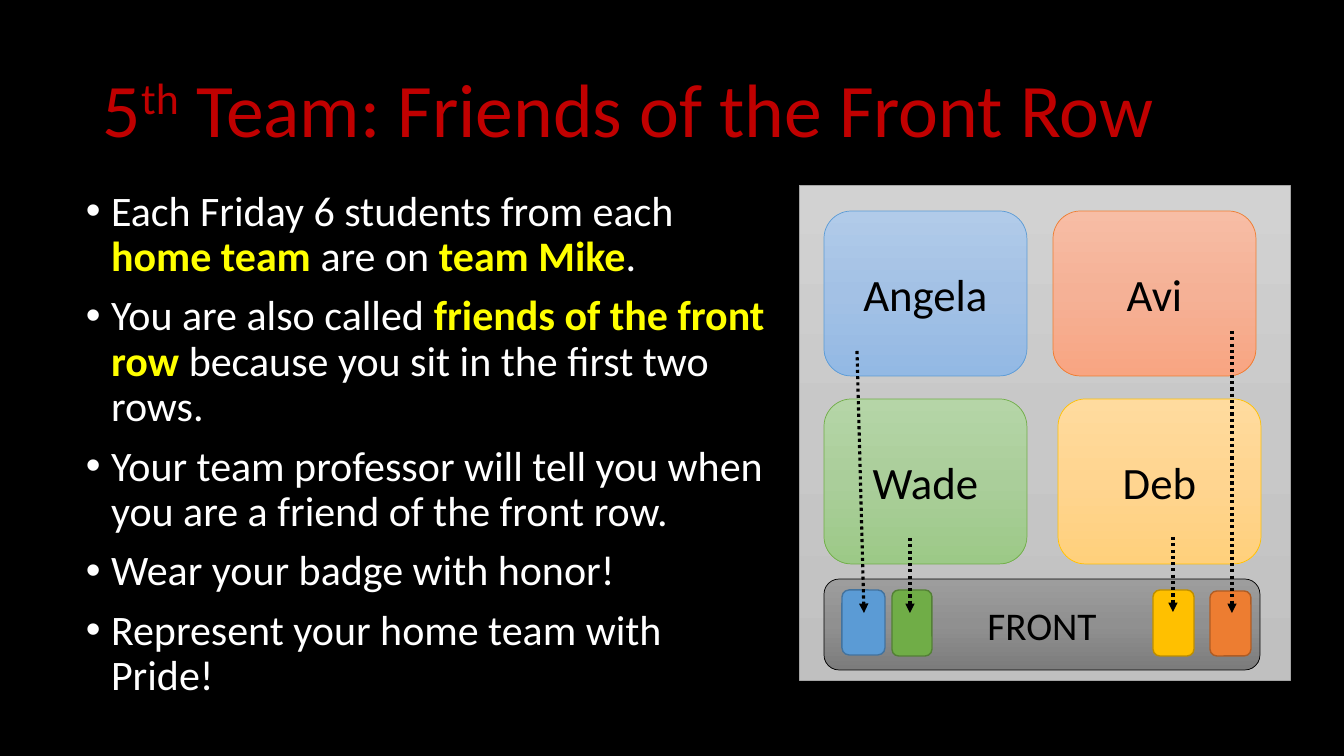
from copy import deepcopy
from lxml.etree import SubElement
from pptx import Presentation
from pptx.dml.color import RGBColor
from pptx.enum.dml import MSO_LINE
from pptx.enum.shapes import MSO_CONNECTOR, MSO_SHAPE
from pptx.enum.text import MSO_ANCHOR, PP_ALIGN
from pptx.oxml.ns import qn
from pptx.util import Pt

PX = 914400 / 100.8


def emu(*pixels):
    return [round(p * PX) for p in pixels]


def color(hex_string):
    return RGBColor.from_string(hex_string)


def write(holder, *paragraphs, size, ink="000000", align=PP_ALIGN.CENTER, anchor=MSO_ANCHOR.MIDDLE,
          spacing=1.0, bullets=False, marked_ink=None, superscript=False):
    frame = holder.text_frame
    frame.word_wrap = True
    frame.vertical_anchor = anchor
    for index, content in enumerate(paragraphs):
        paragraph = frame.add_paragraph() if index else frame.paragraphs[0]
        paragraph.alignment = align
        paragraph.line_spacing = spacing
        if bullets:
            paragraph.space_before = Pt(10)
            properties = paragraph._p.get_or_add_pPr()
            properties.set("marL", "228600")
            properties.set("indent", "-228600")
            SubElement(properties, qn("a:buFont")).set("typeface", "Arial")
            SubElement(properties, qn("a:buChar")).set("char", "•")
        for part, words in enumerate(content.split("|")):
            run = paragraph.add_run()
            run.text = words
            run.font.name = "Calibri"
            run.font.size = Pt(size)
            marked = part % 2 == 1
            run.font.bold = bool(marked and marked_ink)
            run.font.color.rgb = color(marked_ink if marked and marked_ink else ink)
            if marked and superscript:
                run._r.get_or_add_rPr().set("baseline", "30000")


prs = Presentation()
prs.slide_width, prs.slide_height = emu(1344, 756)
slide = prs.slides.add_slide(prs.slide_layouts[6])
slide.background.fill.solid()
slide.background.fill.fore_color.rgb = color("000000")

title = slide.shapes.add_textbox(*emu(93, 40, 1159, 146))
write(title, "5|th| Team: Friends of the Front Row", size=54, ink="C00000",
      align=PP_ALIGN.LEFT, spacing=0.9, superscript=True)

duties = slide.shapes.add_textbox(*emu(76, 185, 699, 507))
write(duties,
      "Each Friday 6 students from each |home team |are on |team Mike|. ",
      "You are also called |friends of the front row |because you sit in the first two rows.",
      "Your team professor will tell you when you are a friend of the front row. ",
      "Wear your badge with honor!",
      "Represent your home team with Pride!",
      size=30, ink="FFFFFF", align=PP_ALIGN.LEFT, anchor=MSO_ANCHOR.TOP,
      spacing=0.9, bullets=True, marked_ink="FFFF00")

RECT, ROUNDED = MSO_SHAPE.RECTANGLE, MSO_SHAPE.ROUNDED_RECTANGLE
room = [
    (RECT, (799, 185, 491, 495), ["D2D2D2", "C8C8C8", "C0C0C0"], "A5A5A5", "", 32),
    (ROUNDED, (824, 211, 203, 165), ["B1CBE9", "A3C1E5", "93B9E4"], "5B9BD5", "Angela", 32),
    (ROUNDED, (1053, 211, 203, 165), ["F7BDA5", "F5B196", "F8A582"], "ED7D31", "Avi", 32),
    (ROUNDED, (824, 399, 203, 165), ["B5D5A7", "AACE9A", "9CC987"], "70AD47", "Wade", 32),
    (ROUNDED, (1058, 399, 203, 165), ["FFDB9E", "FFD590", "FFD07C"], "FFC000", "Deb", 32),
    (ROUNDED, (824, 579, 436, 91), ["9D9D9D", "909090", "7C7C7C"], "000000", "FRONT", 28),
    (ROUNDED, (842, 590, 43, 65), ["5B9BD5"], "43739E", "", 32),
    (ROUNDED, (1210, 591, 41, 65), ["ED7D31"], "AF5C24", "", 32),
    (ROUNDED, (892, 590, 40, 66), ["70AD47"], "538035", "", 32),
    (ROUNDED, (1153, 590, 41, 66), ["FFC000"], "BD8E00", "", 32),
]
for outline, place, shades, edge, label, size in room:
    area = slide.shapes.add_shape(outline, *emu(*place))
    area.shadow.inherit = False
    area.line.color.rgb = color(edge)
    if len(shades) == 1:
        area.line.width = Pt(1)
        area.fill.solid()
        area.fill.fore_color.rgb = color(shades[0])
    else:
        area.line.width = Pt(0.5)
        area.fill.gradient()
        area.fill.gradient_angle = 270
        stop_list = area.fill._fill._gradFill.find(qn("a:gsLst"))
        stop_list.insert(1, deepcopy(stop_list[0]))
        for stop, position, shade in zip(area.fill.gradient_stops, (0, 0.5, 1), shades):
            stop.position = position
            stop.color.rgb = color(shade)
    if label:
        write(area, label, size=size)

moves = [(857, 351, 864, 613), (910, 538, 910, 613), (1173, 537, 1173, 612), (1232, 331, 1232, 613)]
for move in moves:
    arrow = slide.shapes.add_connector(MSO_CONNECTOR.STRAIGHT, *emu(*move))
    arrow.line.color.rgb = color("000000")
    arrow.line.width = Pt(2.25)
    arrow.line.dash_style = MSO_LINE.ROUND_DOT
    SubElement(arrow.line._get_or_add_ln(), qn("a:tailEnd")).set("type", "triangle")
    SubElement(arrow._element.spPr, qn("a:effectLst"))

prs.save("out.pptx")
